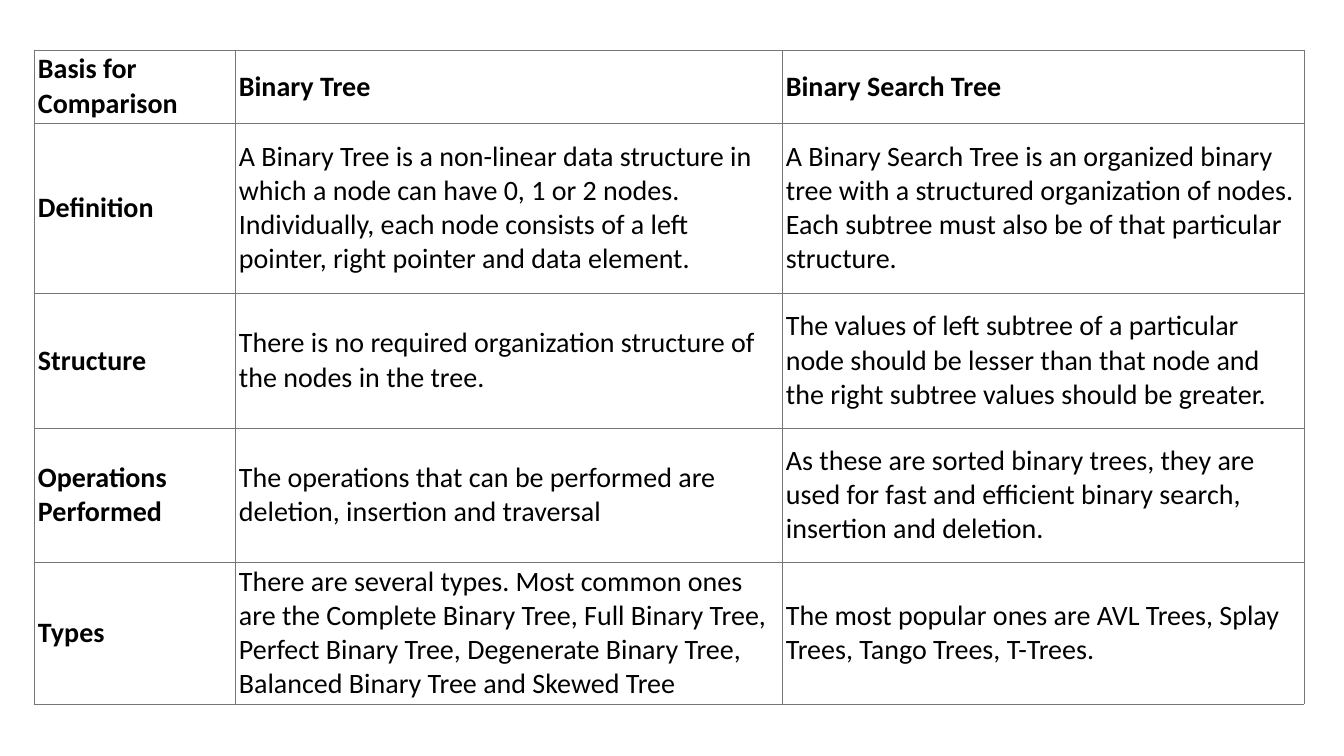
from lxml import etree
from pptx import Presentation
from pptx import util as u
from pptx.dml.color import RGBColor
from pptx.enum import text
from pptx.oxml import ns

SCALE = 914400 / 100.8
COLORS = {"text": "000000", "cell": "FFFFFF", "border": "767676"}
FONT = {"name": "Calibri", "size": u.Pt(20)}
COLUMN_WIDTHS = [201, 547, 522]
ROW_HEIGHTS = [73, 170, 135, 134, 142]
COMPARISON = [
    ["Basis for Comparison", "Binary Tree", "Binary Search Tree"],
    ["Definition",
     "A Binary Tree is a non-linear data structure in which a node can have 0, 1 or 2 nodes. "
     "Individually, each node consists of a left pointer, right pointer and data element.\u00a0",
     "A Binary Search Tree is an organized binary tree with a structured organization of nodes. "
     "Each subtree must also be of that particular structure."],
    ["Structure",
     "There is no required organization structure of the nodes in the tree.",
     "The values of left subtree of a particular node should be lesser than that node "
     "and the right subtree values should be greater."],
    ["Operations Performed",
     "The operations that can be performed are deletion, insertion and traversal",
     "As these are sorted binary trees, they are used for fast and efficient binary search, "
     "insertion and deletion."],
    ["Types",
     "There are several types. Most common ones are the Complete Binary Tree, Full Binary Tree, "
     "Perfect Binary Tree, Degenerate Binary Tree, Balanced Binary Tree and Skewed Tree",
     "The most popular ones are AVL Trees, Splay Trees, Tango Trees, T-Trees."],
]


def px(pixels):
    """Turn pixels into EMU."""
    return u.Emu(round(pixels * SCALE))


def set_attributes(target, values):
    """Set each named value on the target."""
    for name, value in values.items():
        setattr(target, name, value)


def add_borders(cell, color, width):
    """Draw a solid line on the four sides of a cell."""
    properties = cell._tc.get_or_add_tcPr()
    for side in ("lnL", "lnR", "lnT", "lnB"):
        line = etree.SubElement(properties, ns.qn(f"a:{side}"), w=str(width))
        fill = etree.SubElement(line, ns.qn("a:solidFill"))
        etree.SubElement(fill, ns.qn("a:srgbClr"), val=color)


def fill_cell(cell, wording, bold):
    """Write and format one table cell."""
    set_attributes(cell, {
        "vertical_anchor": text.MSO_ANCHOR.MIDDLE,
        "margin_left": px(4), "margin_right": px(4),
        "margin_top": px(2), "margin_bottom": px(2),
    })
    add_borders(cell, COLORS["border"], u.Pt(0.6))
    cell.fill.solid()
    cell.fill.fore_color.rgb = RGBColor.from_string(COLORS["cell"])
    run = cell.text_frame.paragraphs[0].add_run()
    run.text = wording
    set_attributes(run.font, {**FONT, "bold": bold})
    run.font.color.rgb = RGBColor.from_string(COLORS["text"])


def add_comparison_table(slide, left, top):
    """Add the table with a bold header row and a bold first column."""
    table = slide.shapes.add_table(
        len(ROW_HEIGHTS), len(COLUMN_WIDTHS), px(left), px(top),
        px(sum(COLUMN_WIDTHS)), px(sum(ROW_HEIGHTS))).table
    set_attributes(table, {"first_row": False, "horz_banding": False})
    for column, width in zip(table.columns, COLUMN_WIDTHS):
        column.width = px(width)
    for row, height in zip(table.rows, ROW_HEIGHTS):
        row.height = px(height)
    for i, wordings in enumerate(COMPARISON):
        for j, wording in enumerate(wordings):
            fill_cell(table.cell(i, j), wording, bold=i == 0 or j == 0)


def main():
    """Build and save the slide."""
    presentation = Presentation()
    set_attributes(presentation, {"slide_width": px(1344), "slide_height": px(756)})
    slide = presentation.slides.add_slide(presentation.slide_layouts[6])
    add_comparison_table(slide, 34, 50)
    presentation.save("out.pptx")


main()
